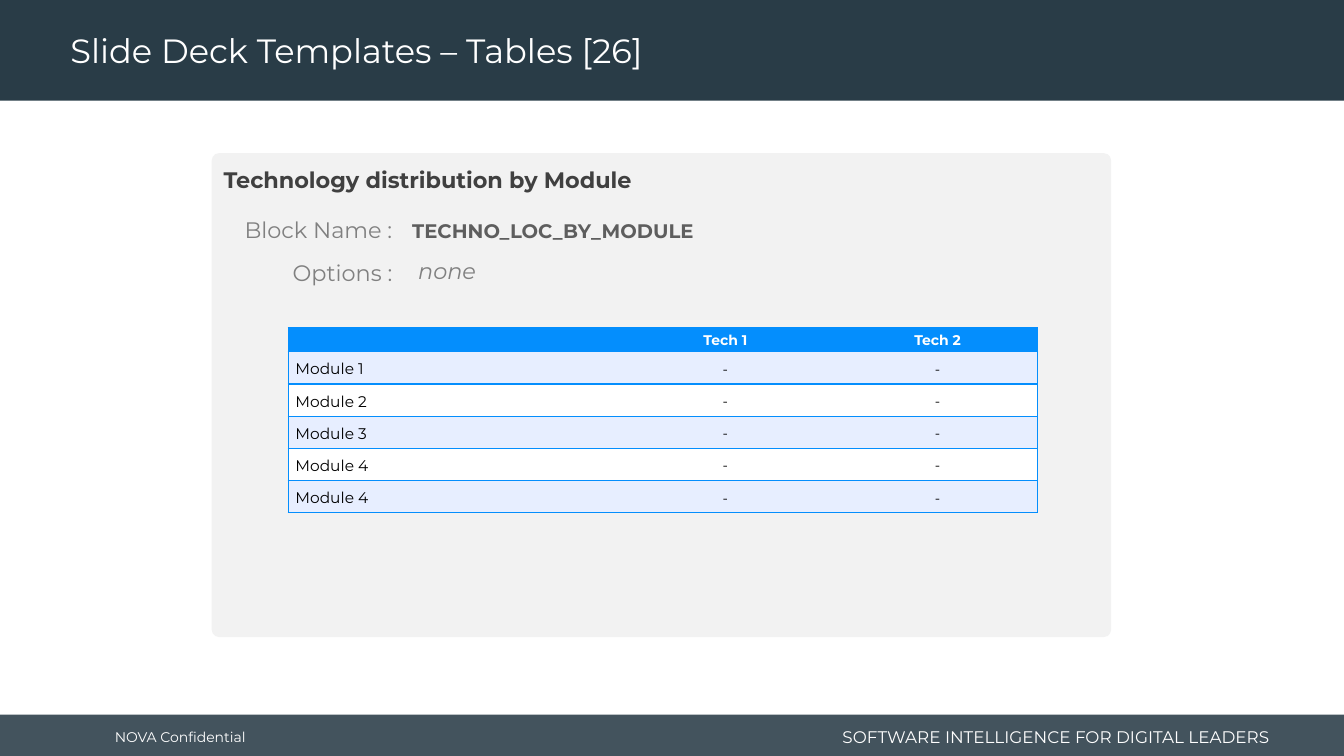
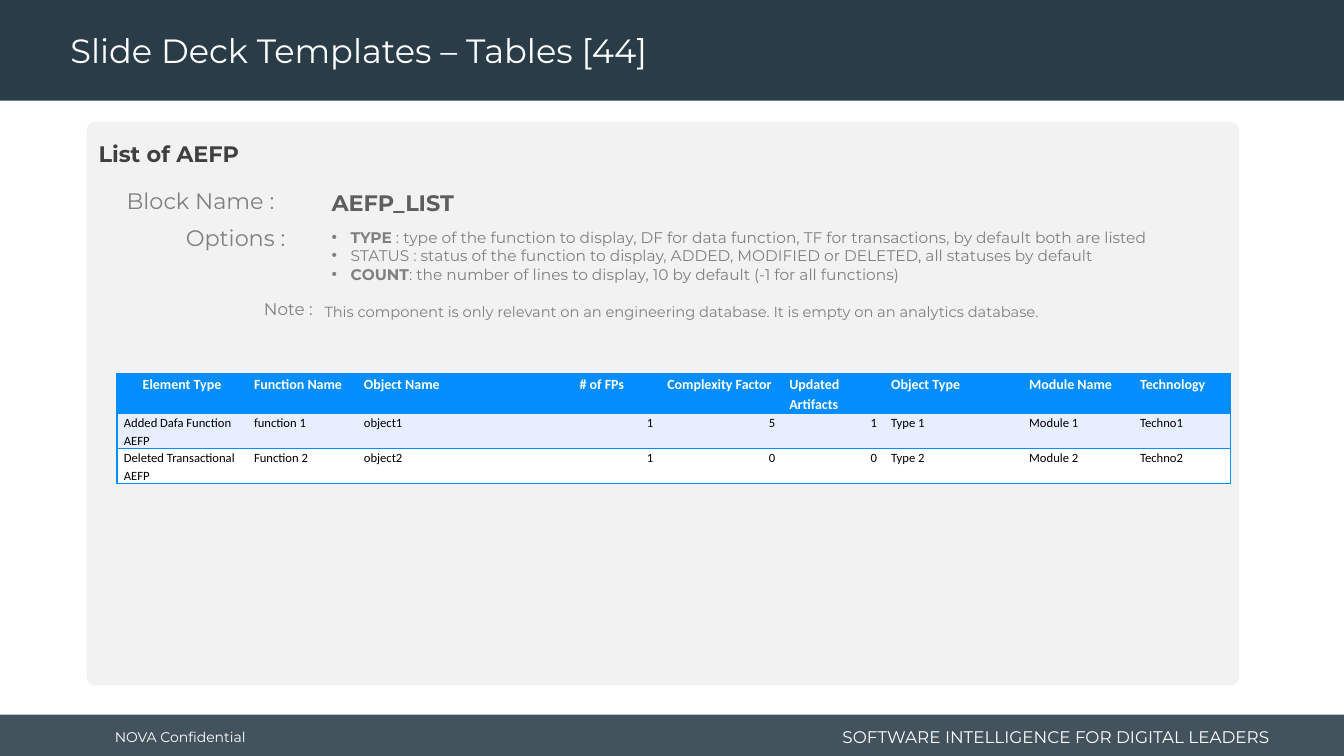
from lxml.etree import SubElement
from pptx import Presentation
from pptx.dml.color import RGBColor
from pptx.enum.shapes import MSO_SHAPE
from pptx.enum.text import MSO_ANCHOR, PP_ALIGN
from pptx.oxml.ns import qn
from pptx.util import Pt

PX = 9144  # EMU in one px, 100 px to the inch
WIDTH, HEIGHT = 1333, 750
FONT = "Montserrat"
COLORS = {
    "band": "293C47", "panel": "F2F2F2", "white": "FFFFFF", "black": "000000",
    "heading": "404040", "block": "5E5E5E", "label": "808080",
    "blue": "048EFD", "stripe": "E7EEFF",
}
ALIGN = {"l": PP_ALIGN.LEFT, "c": PP_ALIGN.CENTER, "r": PP_ALIGN.RIGHT}


def style(para, size, color, align="l", font=FONT, bold=None, italic=None):
    para.alignment = ALIGN[align]
    para.font.name = font
    para.font.size = Pt(size)
    para.font.bold = bold
    para.font.italic = italic
    para.font.color.rgb = RGBColor.from_string(COLORS[color])


def add_text(page, place, lines, size, color, middle=False, bullet=False, spacing=None, **look):
    """Add a text box; a line is a string or a list of (text, bold) spans."""
    box = page.shapes.add_textbox(*(n * PX for n in place))
    frame = box.text_frame
    frame.word_wrap = True
    frame.vertical_anchor = MSO_ANCHOR.MIDDLE if middle else MSO_ANCHOR.TOP
    for index, line in enumerate(lines):
        para = frame.add_paragraph() if index else frame.paragraphs[0]
        if spacing:
            para.line_spacing = spacing
        if bullet:
            properties = para._p.get_or_add_pPr()
            properties.set("marL", str(19 * PX))
            properties.set("indent", str(-19 * PX))
            SubElement(properties, qn("a:buFont"), typeface="Arial")
            SubElement(properties, qn("a:buChar"), char="•")
        style(para, size, color, **look)
        if isinstance(line, str):
            para.add_run().text = line
            continue
        for text, bold in line:
            span = para.add_run()
            span.text = text
            span.font.bold = bold


LABEL = {"size": 16, "color": "label", "align": "r"}
BLOCK = {"color": "block", "bold": True}
PAGES = [
    {
        "title": "Slide Deck Templates – Tables [26]",
        "panel": (210, 152, 892, 480),
        "heading": ("Technology distribution by Module", 160),
        "texts": [
            ((199, 210, 200, 37), ["Block Name :"], LABEL),
            ((399, 212, 700, 34), ["TECHNO_LOC_BY_MODULE"], {"size": 14, **BLOCK}),
            ((199, 252, 200, 37), ["Options :"], LABEL),
            ((405, 250, 690, 37), ["none"], {"size": 16, "color": "label", "italic": True}),
        ],
        "table": {
            "at": (286, 325),
            "columns": [322, 223, 198],
            "heights": [24] + [32] * 5,
            "rows": [["", "Tech 1", "Tech 2"]]
            + [[f"Module {number}", "-", "-"] for number in (1, 2, 3, 4, 4)],
            "font": FONT,
            "anchor": MSO_ANCHOR.MIDDLE,
            "header_align": "lcc",
            "body_align": "lcc",
            "body_sizes": [11, 10, 10],
        },
    },
    {
        "title": "Slide Deck Templates – Tables [44]",
        "panel": (86, 121, 1143, 559),
        "heading": ("List of AEFP", 134),
        "texts": [
            ((82, 181, 200, 37), ["Block Name :"], LABEL),
            ((319, 183, 900, 37), ["AEFP_LIST"], {"size": 16, **BLOCK}),
            ((93, 217, 200, 37), ["Options :"], LABEL),
            (
                (319, 221, 914, 70),
                [
                    [("TYPE", True), (" : type of the function to display, DF for data function, "
                                      "TF for transactions, by default both are listed", False)],
                    "STATUS : status of the function to display, ADDED, MODIFIED or DELETED, "
                    "all statuses by default",
                    [("COUNT", True), (": the number of lines to display, 10 by default "
                                       "(-1 for all functions)", False)],
                ],
                {"size": 11, "color": "label", "bullet": True},
            ),
            ((120, 291, 200, 30), ["Note :"], {**LABEL, "size": 12}),
            (
                (312, 295, 765, 29),
                ["This component is only relevant on an engineering database. "
                 "It is empty on an analytics database."],
                {"size": 10.5, "color": "label"},
            ),
        ],
        "table": {
            "at": (116, 371),
            "columns": [129, 109, 214, 87, 121, 101, 137, 110, 97],
            "heights": [39, 35, 35],
            "rows": [
                ["Element Type", "Function Name", "Object Name", "# of FPs", "Complexity Factor",
                 "Updated Artifacts", "Object Type", "Module Name", "Technology"],
                ["Added Dafa Function AEFP", "function 1", "object1", "1", "5", "1",
                 "Type 1", "Module 1", "Techno1"],
                ["Deleted Transactional AEFP", "Function 2", "object2", "1", "0", "0",
                 "Type 2", "Module 2", "Techno2"],
            ],
            "font": "Calibri",
            "anchor": MSO_ANCHOR.TOP,
            "header_align": "cllllllll",
            "body_align": "lllrrrlll",
            "body_sizes": [9] * 9,
        },
    },
]

deck = Presentation()
deck.slide_width, deck.slide_height = WIDTH * PX, HEIGHT * PX

for content in PAGES:
    page = deck.slides.add_slide(deck.slide_layouts[6])

    # Bands, panel and the texts every page carries
    for kind, place, color, opacity in (
        (MSO_SHAPE.RECTANGLE, (0, 709, WIDTH, 44), "band", 88),
        (MSO_SHAPE.RECTANGLE, (0, 0, WIDTH, 100), "band", 100),
        (MSO_SHAPE.ROUNDED_RECTANGLE, content["panel"], "panel", 100),
    ):
        shape = page.shapes.add_shape(kind, *(n * PX for n in place))
        shape.shadow.inherit = False
        shape.line.fill.background()
        shape.fill.solid()
        shape.fill.fore_color.rgb = RGBColor.from_string(COLORS[color])
        if opacity < 100:
            tint = shape.fill._xPr.find(".//" + qn("a:srgbClr"))
            SubElement(tint, qn("a:alpha"), val=str(opacity * 1000))
        if kind == MSO_SHAPE.ROUNDED_RECTANGLE:
            shape.adjustments[0] = 0.015
    add_text(page, (60, 4, 958, 96), [content["title"]], 24, "white", middle=True, spacing=0.9)
    add_text(page, (104, 711, 200, 40), ["NOVA Confidential"], 10, "white", middle=True)
    add_text(page, (811, 715, 458, 32), ["SOFTWARE INTELLIGENCE FOR DIGITAL LEADERS"],
             12, "white", middle=True, align="r")

    heading, heading_top = content["heading"]
    panel_left, _, panel_width, _ = content["panel"]
    add_text(page, (panel_left + 2, heading_top, panel_width - 20, 37), [heading],
             16, "heading", bold=True)
    for place, lines, look in content["texts"]:
        add_text(page, place, lines, **look)

    # Table
    grid = content["table"]
    columns, heights, rows = grid["columns"], grid["heights"], grid["rows"]
    table = page.shapes.add_table(
        len(rows), len(columns),
        *(n * PX for n in (*grid["at"], sum(columns), sum(heights))),
    ).table
    table.first_row = table.horz_banding = False
    for column, width in zip(table.columns, columns):
        column.width = width * PX
    for row, height in zip(table.rows, heights):
        row.height = height * PX
    for r, texts in enumerate(rows):
        header = r == 0
        fill = "blue" if header else ("stripe" if r % 2 else "white")
        for c, text in enumerate(texts):
            cell = table.cell(r, c)
            cell.margin_left = cell.margin_right = 7 * PX
            cell.margin_top = cell.margin_bottom = 0
            cell.vertical_anchor = grid["anchor"]
            borders = {"lnL": c == 0, "lnR": c == len(columns) - 1, "lnT": True, "lnB": True}
            for edge, drawn in borders.items():
                line = SubElement(cell._tc.get_or_add_tcPr(), qn(f"a:{edge}"), w=str(Pt(1)))
                if drawn:
                    solid = SubElement(line, qn("a:solidFill"))
                    SubElement(solid, qn("a:srgbClr"), val=COLORS["blue"])
                else:
                    SubElement(line, qn("a:noFill"))
            cell.fill.solid()
            cell.fill.fore_color.rgb = RGBColor.from_string(COLORS[fill])
            para = cell.text_frame.paragraphs[0]
            para.line_spacing = 1.15
            size = 10 if header else grid["body_sizes"][c]
            aligns = grid["header_align"] if header else grid["body_align"]
            style(para, size, "white" if header else "black", aligns[c], grid["font"], bold=header)
            if text:
                para.add_run().text = text
            else:  # keeps an empty cell from growing its row
                SubElement(para._p, qn("a:endParaRPr"), sz=str(size * 100))

deck.save("out.pptx")
